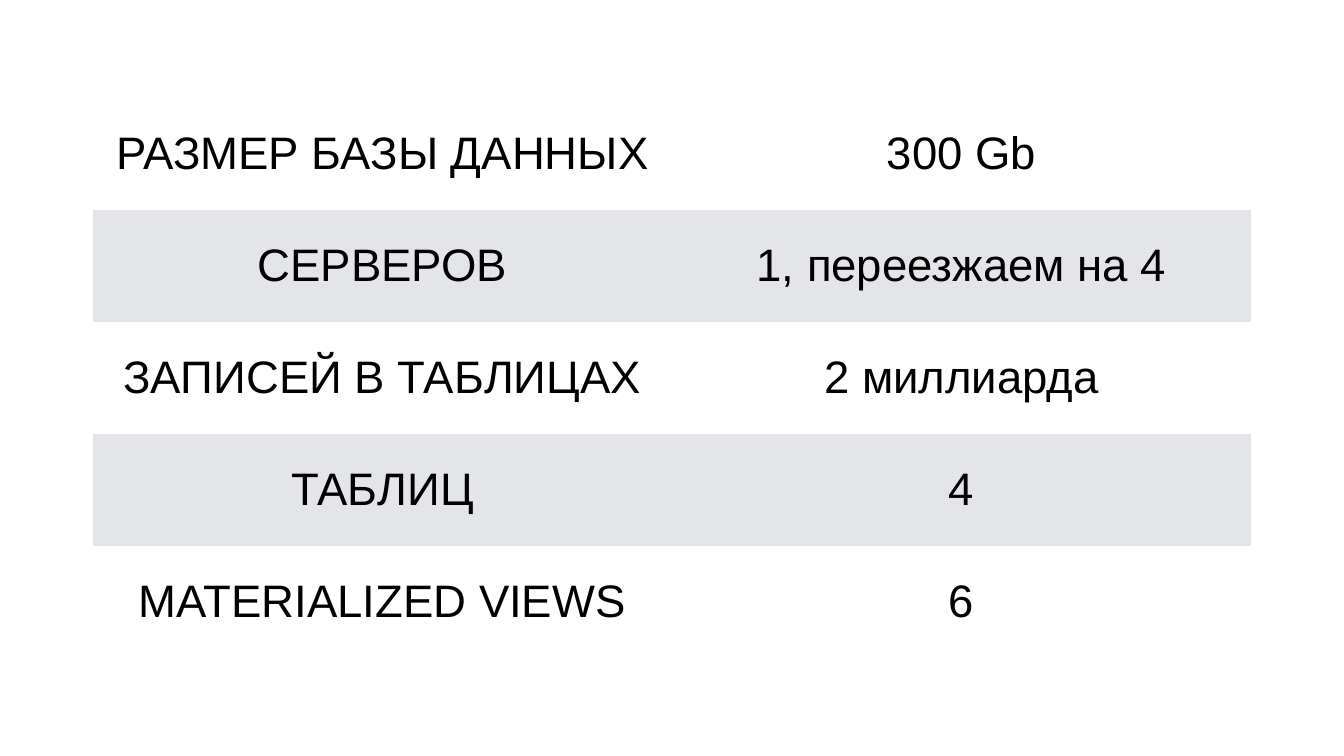
from pptx import Presentation
from pptx.dml.color import RGBColor
from pptx.enum.text import MSO_ANCHOR, PP_ALIGN
from pptx.oxml.ns import qn
from pptx.util import Pt

CENTER = PP_ALIGN.CENTER
MIDDLE = MSO_ANCHOR.MIDDLE

ROWS = [
    ("РАЗМЕР БАЗЫ ДАННЫХ", "300 Gb"),
    ("СЕРВЕРОВ", "1, переезжаем на 4"),
    ("ЗАПИСЕЙ В ТАБЛИЦАХ", "2 миллиарда"),
    ("ТАБЛИЦ", "4"),
    ("MATERIALIZED VIEWS", "6"),
]
COLORS = {"text": "000000", "plain": "FFFFFF", "band": "E3E5E8"}
FONT, SIZE = "Arial", 65
SLIDE_W, SLIDE_H = 1344, 756
LEFT, TOP, COL_W, ROW_H, INSET = 93, 98, 579, 112, 3
NO_STYLE_NO_GRID = "{2D5ABB26-0587-4C30-8999-92F81FD0307C}"


def px(n):
    return round(n * 914400 / 50.4)


def rgb(name):
    return RGBColor.from_string(COLORS[name])


def fill_cell(cell, text, color):
    cell.fill.solid()
    cell.fill.fore_color.rgb = rgb(color)
    cell.vertical_anchor = MIDDLE
    cell.margin_left = cell.margin_right = px(INSET)
    cell.margin_top = cell.margin_bottom = px(INSET)
    p = cell.text_frame.paragraphs[0]
    p.alignment = CENTER
    r = p.add_run()
    r.text = text
    r.font.name = FONT
    r.font.size = Pt(SIZE)
    r.font.color.rgb = rgb("text")


def main():
    prs = Presentation()
    prs.slide_width, prs.slide_height = px(SLIDE_W), px(SLIDE_H)
    s = prs.slides.add_slide(prs.slide_layouts[6])

    n_rows, n_cols = len(ROWS), len(ROWS[0])
    frame = s.shapes.add_table(n_rows, n_cols, px(LEFT), px(TOP),
                               px(COL_W * n_cols), px(ROW_H * n_rows))
    table = frame.table
    table.first_row = False
    table.horz_banding = False
    style = frame._element.find(".//" + qn("a:tableStyleId"))
    style.text = NO_STYLE_NO_GRID

    for col in table.columns:
        col.width = px(COL_W)
    for i, values in enumerate(ROWS):
        table.rows[i].height = px(ROW_H)
        for j, text in enumerate(values):
            fill_cell(table.cell(i, j), text, "band" if i % 2 else "plain")

    prs.save("out.pptx")


if __name__ == "__main__":
    main()
